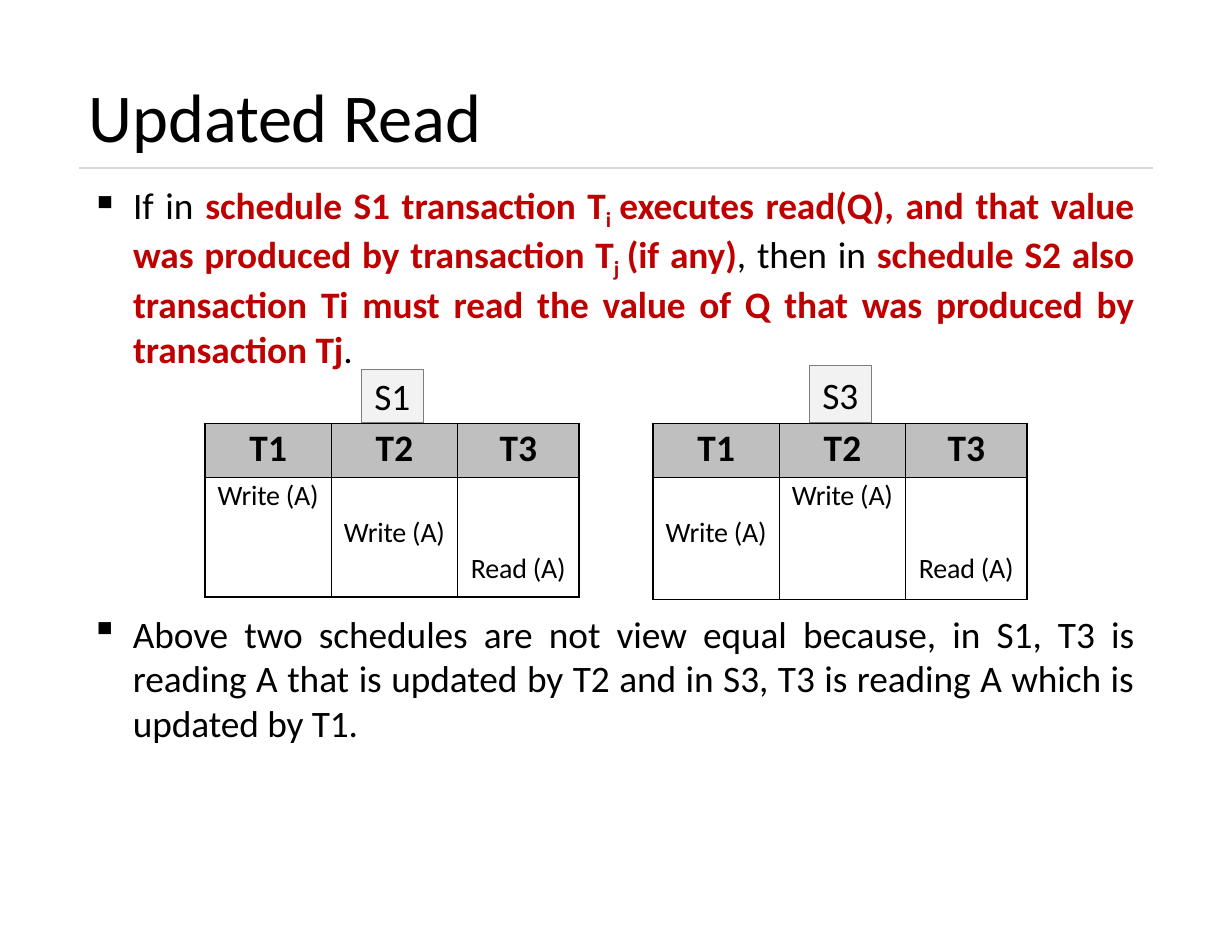
from lxml.etree import SubElement
from pptx import Presentation
from pptx.dml.color import RGBColor
from pptx.enum.shapes import MSO_CONNECTOR, MSO_SHAPE
from pptx.enum.text import MSO_ANCHOR, PP_ALIGN
from pptx.oxml.ns import qn
from pptx.util import Pt

BLACK = RGBColor(0x00, 0x00, 0x00)
RED = RGBColor(0xBF, 0x00, 0x00)
RULE_GRAY = RGBColor(0xD8, 0xD8, 0xD8)
HEADER_GRAY = RGBColor(0xBF, 0xBF, 0xBF)
LABEL_GRAY = RGBColor(0xF2, 0xF2, 0xF2)
LABEL_EDGE = RGBColor(0x7E, 0x7E, 0x7E)

TRANSACTIONS = ("T1", "T2", "T3")
COLUMN_WIDTHS = (81.2, 81.2, 78)
HEADER_HEIGHT = 34.6
STEP_HEIGHT = 23.5
SCHEDULE_TOP = 272.2

CONDITION = [
    ("If in ", {}),
    ("schedule S1 transaction T", {"color": RED, "bold": True}),
    ("i ", {"color": RED, "bold": True, "baseline": -21}),
    ("executes read(Q), and that value was produced by transaction T",
     {"color": RED, "bold": True}),
    ("j ", {"color": RED, "bold": True, "baseline": -21}),
    ("(if any)", {"color": RED, "bold": True}),
    (", then in ", {}),
    ("schedule S2 also transaction Ti must read the value of Q that was "
     "produced by transaction Tj", {"color": RED, "bold": True}),
    (".", {}),
]
CONCLUSION = [
    ("Above two schedules are not view equal because, in S1, T3 is reading A "
     "that is updated by T2 and in S3, T3 is reading A which is updated by T1.", {}),
]


def add_text(paragraph, text, size=24, color=BLACK, bold=False, baseline=0, spacing=-0.05):
    """Append a formatted run to a paragraph."""
    run = paragraph.add_run()
    run.text = text
    run.font.name = "Calibri"
    run.font.size = Pt(size)
    run.font.bold = bold
    run.font.color.rgb = color
    properties = run._r.get_or_add_rPr()
    properties.set("spc", str(round(spacing * 100)))
    if baseline:
        properties.set("baseline", str(baseline * 1000))


def set_margins(area, top=0):
    """Remove the insets of a text frame or cell except the top one."""
    area.margin_left = area.margin_right = area.margin_bottom = Pt(0)
    area.margin_top = Pt(top)


def add_title(slide, text):
    """Place the slide title and the rule under it."""
    title = slide.shapes.title
    title.left, title.top, title.width, title.height = Pt(57), Pt(46), Pt(660), Pt(55)
    frame = title.text_frame
    set_margins(frame, 1)
    frame.vertical_anchor = MSO_ANCHOR.MIDDLE
    frame.paragraphs[0].alignment = PP_ALIGN.LEFT
    add_text(frame.paragraphs[0], text, size=44, spacing=-0.1)
    rule = slide.shapes.add_connector(
        MSO_CONNECTOR.STRAIGHT, Pt(51), Pt(108), Pt(741), Pt(108))
    rule.line.color.rgb = RULE_GRAY
    rule.line.width = Pt(0.84)
    SubElement(rule._element.spPr, qn("a:effectLst"))


def add_bullet(slide, segments, left, top, height, indent):
    """Add a justified paragraph with a hanging square bullet."""
    box = slide.shapes.add_textbox(Pt(left), Pt(top), Pt(729 - left), Pt(height))
    frame = box.text_frame
    frame.word_wrap = True
    set_margins(frame, 1.8)
    paragraph = frame.paragraphs[0]
    paragraph.alignment = PP_ALIGN.JUSTIFY
    properties = paragraph._p.get_or_add_pPr()
    properties.set("marL", str(Pt(indent)))
    properties.set("indent", str(-Pt(27)))
    SubElement(properties, qn("a:buChar")).set("char", "▪")
    for text, style in segments:
        add_text(paragraph, text, **style)


def add_borders(cell):
    """Draw thin black lines on all four sides of a cell."""
    properties = cell._tc.get_or_add_tcPr()
    for side in ("lnL", "lnR", "lnT", "lnB"):
        line = SubElement(properties, qn(f"a:{side}"), w=str(Pt(1)))
        fill = SubElement(line, qn("a:solidFill"))
        SubElement(fill, qn("a:srgbClr"), val=str(BLACK))


def fill_cell(cell, text, top, **style):
    """Write centred text at a given depth in a bordered cell."""
    add_borders(cell)
    set_margins(cell, top)
    paragraph = cell.text_frame.paragraphs[0]
    paragraph.alignment = PP_ALIGN.CENTER
    add_text(paragraph, text, **style)


def add_schedule(slide, name, left, label_top, body_height, operations):
    """Add a schedule table, each operation lowered by its step, and its label."""
    table = slide.shapes.add_table(
        2, len(TRANSACTIONS), Pt(left), Pt(SCHEDULE_TOP),
        Pt(sum(COLUMN_WIDTHS)), Pt(HEADER_HEIGHT + body_height)).table
    table.horz_banding = False
    table.rows[0].height = Pt(HEADER_HEIGHT)
    table.rows[1].height = Pt(body_height)
    for column, (transaction, (operation, step)) in enumerate(zip(TRANSACTIONS, operations)):
        table.columns[column].width = Pt(COLUMN_WIDTHS[column])
        header, body = table.cell(0, column), table.cell(1, column)
        fill_cell(header, transaction, 1.5, bold=True, spacing=0.1)
        header.fill.solid()
        header.fill.fore_color.rgb = HEADER_GRAY
        fill_cell(body, operation, 1.2 + step * STEP_HEIGHT, size=18, spacing=-0.15)
        body.fill.background()

    label = slide.shapes.add_shape(
        MSO_SHAPE.RECTANGLE, Pt(left + 100.6), Pt(label_top),
        Pt(39.6), Pt(SCHEDULE_TOP - 0.6 - label_top))
    label.shadow.inherit = False
    label.fill.solid()
    label.fill.fore_color.rgb = LABEL_GRAY
    label.line.color.rgb = LABEL_EDGE
    label.line.width = Pt(0.75)
    frame = label.text_frame
    set_margins(frame)
    frame.vertical_anchor = MSO_ANCHOR.MIDDLE
    frame.paragraphs[0].alignment = PP_ALIGN.CENTER
    add_text(frame.paragraphs[0], name, spacing=0)


def main():
    """Build the slide on updated reads."""
    deck = Presentation()
    deck.slide_width, deck.slide_height = Pt(792), Pt(612)
    slide = deck.slides.add_slide(deck.slide_layouts[5])
    add_title(slide, "Updated Read")
    add_bullet(slide, CONDITION, left=55.4, top=115.2, height=117.4, indent=30.2)
    add_bullet(slide, CONCLUSION, left=57, top=390.8, height=88.6, indent=28.4)
    add_schedule(slide, "S1", 131.8, 237.4, 77,
                 [("Write (A)", 0), ("Write (A)", 1), ("Read (A)", 2)])
    add_schedule(slide, "S3", 419.8, 235.2, 78.5,
                 [("Write (A)", 1), ("Write (A)", 0), ("Read (A)", 2)])
    deck.save("out.pptx")


if __name__ == "__main__":
    main()
